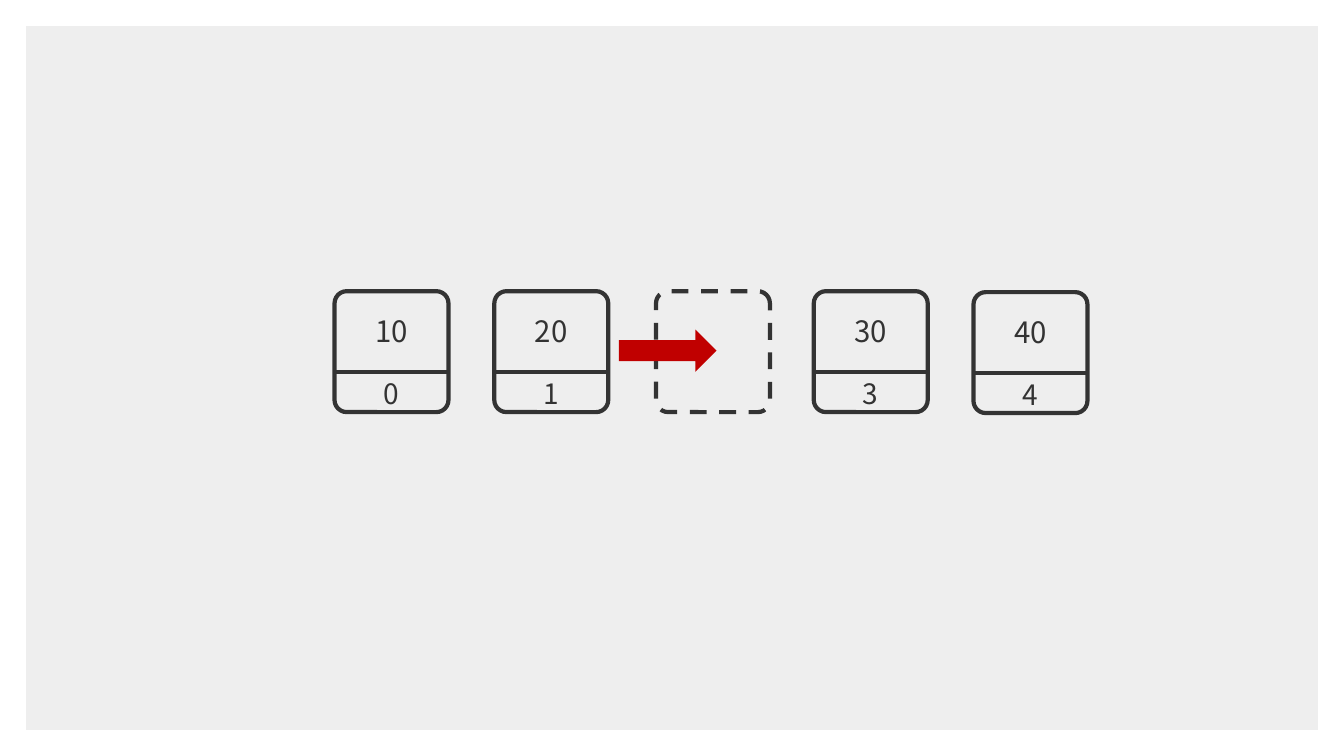
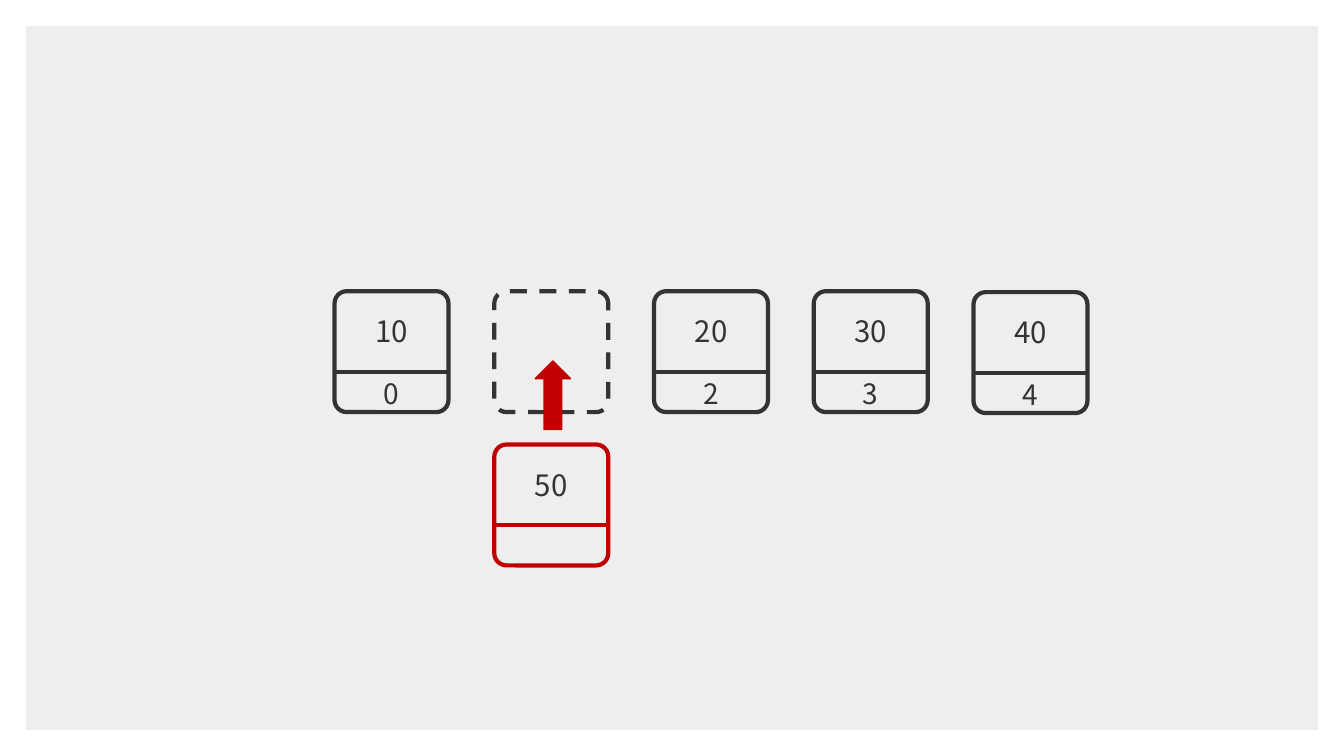
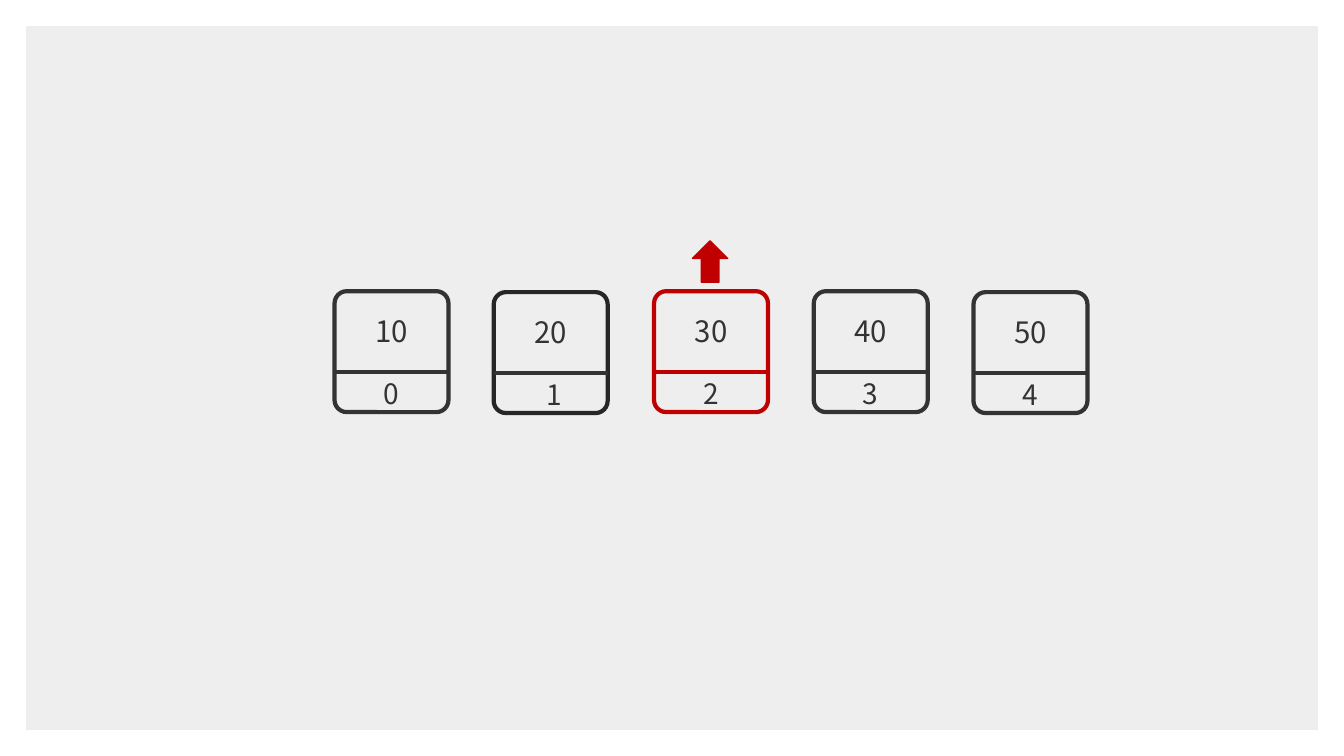
from dataclasses import dataclass
from typing import Any

from pptx import Presentation
from pptx.dml.color import RGBColor
from pptx.enum.dml import MSO_LINE
from pptx.enum.shapes import MSO_CONNECTOR, MSO_SHAPE
from pptx.enum.text import MSO_ANCHOR, MSO_AUTO_SIZE, PP_ALIGN
from pptx.oxml.ns import qn
from pptx.util import Pt

HEX = {"band": "EEEEEE", "ink": "333333", "deep": "262626", "red": "C00000"}
FONT = "Noto Sans CJK KR"
WIDE, HIGH = 960, 540
EDGE = 18.7
LEFT, TOP, STEP = 239, 208, 114.1
CELL_W, CELL_H, SPLIT = 81.4, 86.4, 57.6
ROUND = 0.107
LOWER = 109.5
BOX = {"word_wrap": True, "auto_size": MSO_AUTO_SIZE.SHAPE_TO_FIT_TEXT}


@dataclass(frozen=True)
class Label:
    """Place and style of a text inside a cell."""
    top: float
    high: float
    size: float
    anchor: MSO_ANCHOR


VALUE = Label(12.3, 32.4, 21, MSO_ANCHOR.MIDDLE)
INDEX = Label(SPLIT, 31.7, 20, MSO_ANCHOR.TOP)


@dataclass(frozen=True)
class Cell:
    """An array cell in a slot; with no value it is a dashed gap."""
    slot: int
    value: str = ""
    index: str = ""
    edge: str = "ink"
    rule: str = "ink"
    shift: float = 0
    drop: float = 0
    slip: float = 0


@dataclass(frozen=True)
class Arrow:
    """A red block arrow."""
    kind: MSO_SHAPE
    left: float
    top: float
    wide: float
    high: float
    line: float = 0


def color(name: str) -> RGBColor:
    """Return a palette colour."""
    return RGBColor.from_string(HEX[name])


def apply(item: Any, values: dict[str, Any]) -> None:
    """Set attributes from format values."""
    for name, value in values.items():
        setattr(item, name, value)


def stroke(line: Any, name: str, width: float) -> None:
    """Give a line its colour and width."""
    line.color.rgb = color(name)
    line.width = Pt(width)


def block(shapes: Any, kind: MSO_SHAPE, place: tuple[float, ...],
          fill: str = "") -> Any:
    """Add a flat shape, filled or clear, with no outline."""
    shape = shapes.add_shape(kind, *map(Pt, place))
    shape.shadow.inherit = False
    if fill:
        shape.fill.solid()
        shape.fill.fore_color.rgb = color(fill)
    else:
        shape.fill.background()
    shape.line.fill.background()
    return shape


def write(shapes: Any, text: str, label: Label, left: float, top: float) -> None:
    """Add a centred text to a cell."""
    place = (left, top + label.top, CELL_W, label.high)
    frame = shapes.add_textbox(*map(Pt, place)).text_frame
    apply(frame, BOX | {"vertical_anchor": label.anchor})
    part = frame.paragraphs[0]
    part.alignment = PP_ALIGN.CENTER
    run = part.add_run()
    run.text = text
    apply(run.font, {"name": FONT, "size": Pt(label.size)})
    run.font.color.rgb = color("ink")


def outline(shapes: Any, cell: Cell, left: float, top: float) -> Any:
    """Add the rounded frame of a cell."""
    frame = block(shapes, MSO_SHAPE.ROUNDED_RECTANGLE, (left, top, CELL_W, CELL_H))
    frame.adjustments[0] = ROUND
    frame.element.spPr.get_or_add_xfrm().set("flipH", "1")
    stroke(frame.line, cell.edge, 3)
    return frame


def draw_cell(shapes: Any, cell: Cell) -> None:
    """Draw a cell as a group, or a gap as a dashed frame."""
    left = LEFT + cell.slot * STEP + cell.shift
    top = TOP + cell.drop
    if not cell.value:
        outline(shapes, cell, left, top).line.dash_style = MSO_LINE.DASH
        return
    group = shapes.add_group_shape().shapes
    outline(group, cell, left, top)
    level = top + SPLIT
    ends = (left, level, left + CELL_W, level)
    rule = group.add_connector(MSO_CONNECTOR.STRAIGHT, *map(Pt, ends))
    stroke(rule.line, cell.rule, 3)
    spot = rule.element.spPr
    spot.append(spot.makeelement(qn("a:effectLst"), {}))
    if cell.index:
        write(group, cell.index, INDEX, left + cell.slip, top)
    write(group, cell.value, VALUE, left, top)


def draw_arrow(shapes: Any, arrow: Arrow) -> None:
    """Draw a block arrow."""
    place = (arrow.left, arrow.top, arrow.wide, arrow.high)
    shape = block(shapes, arrow.kind, place, "red")
    if arrow.line:
        stroke(shape.line, "red", arrow.line)


FIRST = Cell(0, "10", "0")
THIRD = Cell(3, "30", "3")
LAST = Cell(4, "40", "4", drop=0.7)
STAGES = [
    ([FIRST, Cell(1, "20", "1"), THIRD, Cell(2, shift=1.4), LAST],
     Arrow(MSO_SHAPE.RIGHT_ARROW, 442.1, 235.4, 69.8, 30.2)),
    ([FIRST, Cell(2, "20", "2"), THIRD, Cell(1), LAST,
      Cell(1, "50", edge="red", rule="red", drop=LOWER)],
     Arrow(MSO_SHAPE.UP_ARROW, 382.3, 257.8, 25.2, 49, 1)),
    ([FIRST, Cell(2, "30", "2", edge="red", rule="red"), Cell(3, "40", "3"),
      Cell(1, "20", "1", edge="deep", shift=-0.4, drop=0.7, slip=2.6),
      Cell(4, "50", "4", drop=0.7)],
     Arrow(MSO_SHAPE.UP_ARROW, 494.6, 172.1, 25.2, 29.5, 1)),
]


def main() -> None:
    """Build and save the slides."""
    deck = Presentation()
    apply(deck, {"slide_width": Pt(WIDE), "slide_height": Pt(HIGH)})
    blank = deck.slide_layouts[6]
    slides = [deck.slides.add_slide(blank) for _ in STAGES]
    area = (EDGE, EDGE, WIDE - 2 * EDGE, HIGH - 2 * EDGE)
    band = block(slides[0].shapes, MSO_SHAPE.RECTANGLE, area, "band")
    blank.shapes.element.append(band.element)
    for slide, (cells, arrow) in zip(slides, STAGES):
        for cell in cells:
            draw_cell(slide.shapes, cell)
        draw_arrow(slide.shapes, arrow)
    deck.save("out.pptx")


main()
